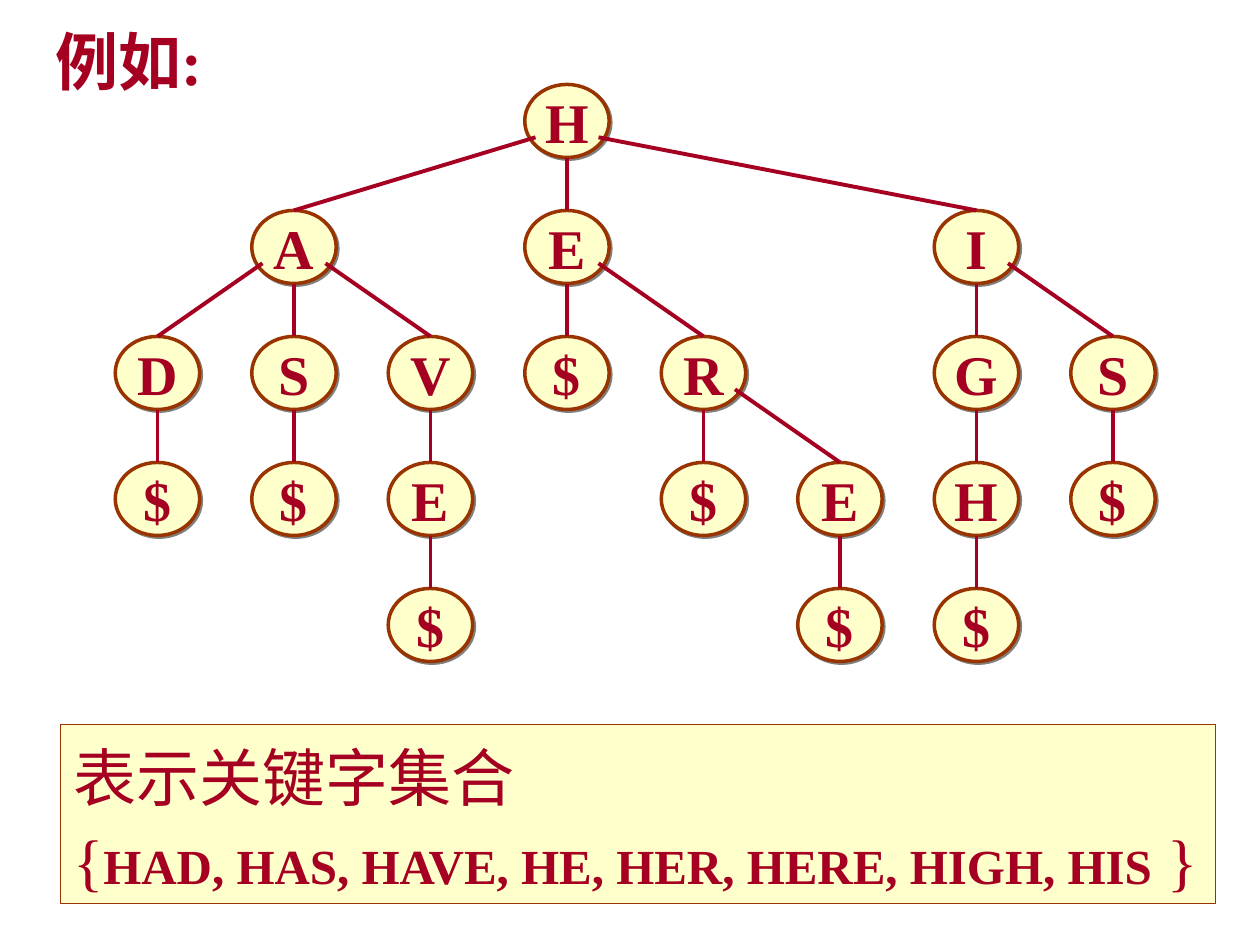
from dataclasses import dataclass
from typing import Any, Iterator

from lxml import etree
from pptx import Presentation
from pptx.dml.color import RGBColor
from pptx.enum import shapes, text
from pptx.oxml import parse_xml
from pptx.oxml.ns import nsdecls, qn
from pptx.util import Inches, Pt


@dataclass(frozen=True)
class Theme:
    font: str = "Times New Roman"
    ink: RGBColor = RGBColor(0xA5, 0x00, 0x21)
    paper: RGBColor = RGBColor(0xFF, 0xFF, 0xCC)
    border: RGBColor = RGBColor(0x99, 0x33, 0x00)
    shadow: str = "808080"
    heading_size: int = 36
    node_size: int = 32
    keyword_size: int = 28


@dataclass(frozen=True)
class Node:
    letter: str
    column: int
    children: tuple["Node", ...] = ()


@dataclass
class PlacedNode:
    shape: Any
    column: int
    row: int


THEME = Theme()
NODE_WIDTH, NODE_HEIGHT = 0.67, 0.58
FIRST_CENTER, COLUMN_STEP = 1.25, 13 / 12
FIRST_TOP, ROW_STEP = 0.67, 1.0
BRANCH_OFFSET, BRANCH_DROP = 0.25, 0.42


def chain(letters: str, column: int) -> Node:
    """Return a vertical run of single-child nodes closed by the end mark."""
    node = Node("$", column)
    for letter in reversed(letters):
        node = Node(letter, column, (node,))
    return node


TRIE = Node("H", 3, (
    Node("A", 1, (chain("D", 0), chain("S", 1), chain("VE", 2))),
    Node("E", 3, (
        Node("$", 3),
        Node("R", 4, (Node("$", 4), chain("E", 5))),
    )),
    Node("I", 6, (chain("GH", 6), chain("S", 7))),
))


def apply(target: Any, values: dict[str, Any]) -> None:
    for name, value in values.items():
        setattr(target, name, value)


def add_run(paragraph: Any, words: str, size: int, bold: bool) -> None:
    run = paragraph.add_run()
    run.text = words
    apply(run.font, {"name": THEME.font, "size": Pt(size), "bold": bold})
    run.font.color.rgb = THEME.ink


def paint(shape: Any, line_width: float) -> None:
    shape.fill.solid()
    shape.fill.fore_color.rgb = THEME.paper
    shape.line.color.rgb = THEME.border
    shape.line.width = Pt(line_width)


def place(shape: Any, left: float, top: float, width: float, height: float) -> None:
    apply(shape, {"left": Inches(left), "top": Inches(top),
                  "width": Inches(width), "height": Inches(height)})


def center_x(column: int) -> float:
    return FIRST_CENTER + column * COLUMN_STEP


def row_top(row: int) -> float:
    return FIRST_TOP + row * ROW_STEP


def add_drop_shadow(shape: Any) -> None:
    shape.shadow.inherit = False
    shape._element.spPr.find(qn("a:effectLst")).append(parse_xml(
        f'<a:outerShdw {nsdecls("a")} dist="17780" dir="2700000" algn="ctr" '
        f'rotWithShape="0"><a:srgbClr val="{THEME.shadow}"/></a:outerShdw>'))


def draw_node(slide: Any, node: Node, row: int) -> PlacedNode:
    shape = slide.shapes.add_shape(
        shapes.MSO_SHAPE.OVAL,
        Inches(center_x(node.column) - NODE_WIDTH / 2), Inches(row_top(row)),
        Inches(NODE_WIDTH), Inches(NODE_HEIGHT))
    paint(shape, 2)
    add_drop_shadow(shape)
    frame = shape.text_frame
    apply(frame, {"word_wrap": False, "vertical_anchor": text.MSO_ANCHOR.MIDDLE})
    frame.paragraphs[0].alignment = text.PP_ALIGN.CENTER
    add_run(frame.paragraphs[0], node.letter, THEME.node_size, True)
    return PlacedNode(shape, node.column, row)


def draw_subtree(
    slide: Any, node: Node, row: int = 0, parent: PlacedNode | None = None
) -> Iterator[tuple[PlacedNode, PlacedNode]]:
    """Draw a node and its descendants, yielding each parent and child pair."""
    placed = draw_node(slide, node, row)
    if parent:
        yield parent, placed
    for child in node.children:
        yield from draw_subtree(slide, child, row + 1, placed)


def draw_branch(slide: Any, parent: PlacedNode, child: PlacedNode) -> None:
    """Leave the parent below when the child is under it, else from that side."""
    side = (child.column > parent.column) - (child.column < parent.column)
    drop = BRANCH_DROP if side else NODE_HEIGHT
    connector = slide.shapes.add_connector(
        shapes.MSO_CONNECTOR.STRAIGHT,
        Inches(center_x(parent.column) + side * BRANCH_OFFSET),
        Inches(row_top(parent.row) + drop),
        Inches(center_x(child.column)), Inches(row_top(child.row)))
    connector.end_connect(child.shape, 0)
    connector.line.color.rgb = THEME.ink
    connector.line.width = Pt(2.25)
    etree.SubElement(connector._element.spPr, qn("a:effectLst"))


def fill_title(title: Any) -> None:
    place(title, 0.34, 0.13, 1.48, 0.7)
    frame = title.text_frame
    apply(frame, {"word_wrap": False, "auto_size": text.MSO_AUTO_SIZE.NONE,
                  "vertical_anchor": text.MSO_ANCHOR.TOP})
    frame.paragraphs[0].alignment = text.PP_ALIGN.LEFT
    add_run(frame.paragraphs[0], "例如:", THEME.heading_size, True)


def fill_keywords(body: Any) -> None:
    place(body, 0.48, 5.75, 9.17, 1.42)
    paint(body, 0.75)
    frame = body.text_frame
    apply(frame, {"word_wrap": True, "auto_size": text.MSO_AUTO_SIZE.NONE,
                  "vertical_anchor": text.MSO_ANCHOR.TOP})
    heading, keywords = frame.paragraphs[0], frame.add_paragraph()
    for paragraph in (heading, keywords):
        properties = paragraph._p.get_or_add_pPr()
        apply(properties, {"marL": 0, "indent": 0})
        for name in ("marL", "indent"):
            properties.set(name, "0")
        etree.SubElement(properties, qn("a:buNone"))
        apply(paragraph, {"line_spacing": 1.1, "space_before": Pt(0)})
    add_run(heading, "表示关键字集合", THEME.heading_size, False)
    add_run(keywords, "{", THEME.heading_size, False)
    add_run(keywords, "HAD, HAS, HAVE, HE, HER, HERE, HIGH, HIS",
            THEME.keyword_size, True)
    add_run(keywords, " }", THEME.heading_size, False)


def main() -> None:
    presentation = Presentation()
    apply(presentation, {"slide_width": Inches(10), "slide_height": Inches(7.5)})
    slide = presentation.slides.add_slide(presentation.slide_layouts[1])
    fill_title(slide.shapes.title)
    fill_keywords(slide.placeholders[1])
    for parent, child in list(draw_subtree(slide, TRIE)):
        draw_branch(slide, parent, child)
    presentation.save("out.pptx")


if __name__ == "__main__":
    main()
